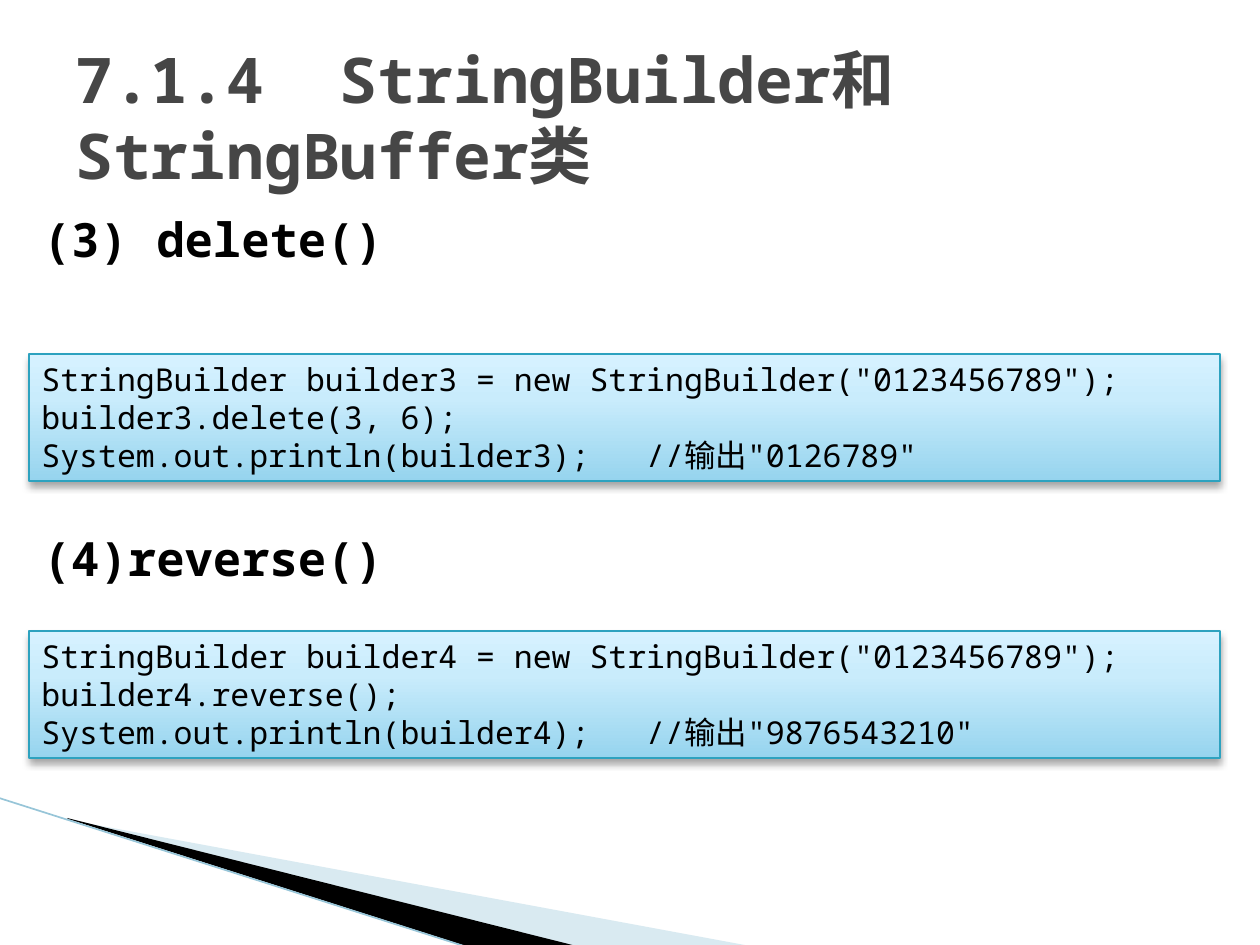
from lxml import etree
from pptx import Presentation
from pptx.dml.color import RGBColor
from pptx.enum import shapes, text
from pptx.oxml import parse_xml
from pptx.oxml.ns import nsdecls, qn
from pptx import util as u

EMU_PER_PX = 914400 / 126
BLACK, GREY, TEAL = "000000", "464646", "2DA2BF"
GRADIENT = [(0, "96D4EE"), (65, "C9ECFC"), (100, "D7F2FF")]


def px(length):
    return u.Emu(round(length * EMU_PER_PX))


def color(hex_string):
    return RGBColor.from_string(hex_string)


class Slide:
    font = "Noto Sans Mono"

    def __init__(self, deck):
        self.page = deck.slides.add_slide(deck.slide_layouts[6])

    def set_lines(self, frame, lines, size, hex_string, bold=False):
        frame.word_wrap = True
        for number, line in enumerate(lines):
            para = frame.add_paragraph() if number else frame.paragraphs[0]
            para.text = line
            para.alignment = text.PP_ALIGN.LEFT
            para.font.name = self.font
            para.font.size = u.Pt(size)
            para.font.bold = bold
            para.font.color.rgb = color(hex_string)

    def text_box(self, area, lines, size, hex_string):
        box = self.page.shapes.add_textbox(*map(px, area))
        self.set_lines(box.text_frame, lines, size, hex_string, bold=True)
        return box.text_frame

    def polygon(self, points, hex_string, opacity=100):
        builder = self.page.shapes.build_freeform(*points[0], scale=EMU_PER_PX)
        builder.add_line_segments(points[1:], close=True)
        shape = builder.convert_to_shape()
        shape.shadow.inherit = False
        shape.line.fill.background()
        shape.fill.solid()
        shape.fill.fore_color.rgb = color(hex_string)
        if opacity < 100:
            tint = shape._element.spPr.find(".//" + qn("a:srgbClr"))
            etree.SubElement(tint, qn("a:alpha"), val=str(opacity * 1000))

    def line(self, start, end, hex_string, width):
        line = self.page.shapes.add_connector(
            shapes.MSO_CONNECTOR.STRAIGHT, *map(px, start + end))
        line.line.color.rgb = color(hex_string)
        line.line.width = u.Pt(width)
        etree.SubElement(line._element.spPr, qn("a:effectLst"))

    def code_block(self, area, lines):
        box = self.page.shapes.add_shape(
            shapes.MSO_SHAPE.RECTANGLE, *map(px, area))
        box.line.color.rgb = color(TEAL)
        box.line.width = u.Pt(0.75)
        # Three-stop gradient, dark at the bottom
        stops = "".join(
            f'<a:gs pos="{place * 1000}"><a:srgbClr val="{tone}"/></a:gs>'
            for place, tone in GRADIENT)
        properties = box._element.spPr
        properties.find(qn("a:ln")).addprevious(parse_xml(
            f'<a:gradFill {nsdecls("a")} rotWithShape="1"><a:gsLst>{stops}'
            '</a:gsLst><a:lin ang="16200000" scaled="0"/></a:gradFill>'))
        # Soft shadow straight below
        properties.append(parse_xml(
            f'<a:effectLst {nsdecls("a")}><a:outerShdw blurRad="{u.Pt(4)}" '
            f'dist="{u.Pt(3)}" dir="5400000" rotWithShape="0">'
            f'<a:srgbClr val="{BLACK}"><a:alpha val="35000"/></a:srgbClr>'
            '</a:outerShdw></a:effectLst>'))
        self.set_lines(box.text_frame, lines, 18, BLACK)
        box.text_frame.vertical_anchor = text.MSO_ANCHOR.TOP
        box.text_frame.auto_size = text.MSO_AUTO_SIZE.SHAPE_TO_FIT_TEXT


def main():
    deck = Presentation()
    deck.slide_width, deck.slide_height = px(1260), px(945)
    slide = Slide(deck)

    # Corner decoration
    slide.polygon([(69, 820), (750, 946), (575, 946), (69, 819)], "A0CBDC", 40)
    slide.polygon([(67, 818), (576, 946), (469, 947), (68, 819)], BLACK)
    slide.line((-1, 798), (467, 947), "97C5D8", 0.95)

    # Method headings, spaced to leave room for the code
    headings = slide.text_box((15, 204, 1221, 675),
                              ["(3) delete()", "(4)reverse()"], 27, BLACK)
    headings.margin_left = px(28)
    for para, gap in zip(headings.paragraphs, (4, 150)):
        para.space_before = u.Pt(gap)

    # Title
    title = slide.text_box((63, 38, 1134, 157),
                           ["7.1.4  StringBuilder和StringBuffer类"], 36, GREY)
    title.vertical_anchor = text.MSO_ANCHOR.MIDDLE

    # Code examples
    examples = [(354, "builder3", "delete(3, 6)", "0126789"),
                (631, "builder4", "reverse()", "9876543210")]
    for top, name, call, output in examples:
        slide.code_block((29, top, 1191, 127), [
            f'StringBuilder {name} = new StringBuilder("0123456789");',
            f"{name}.{call};",
            f'System.out.println({name});   //输出"{output}"'])

    deck.save("out.pptx")


if __name__ == "__main__":
    main()
